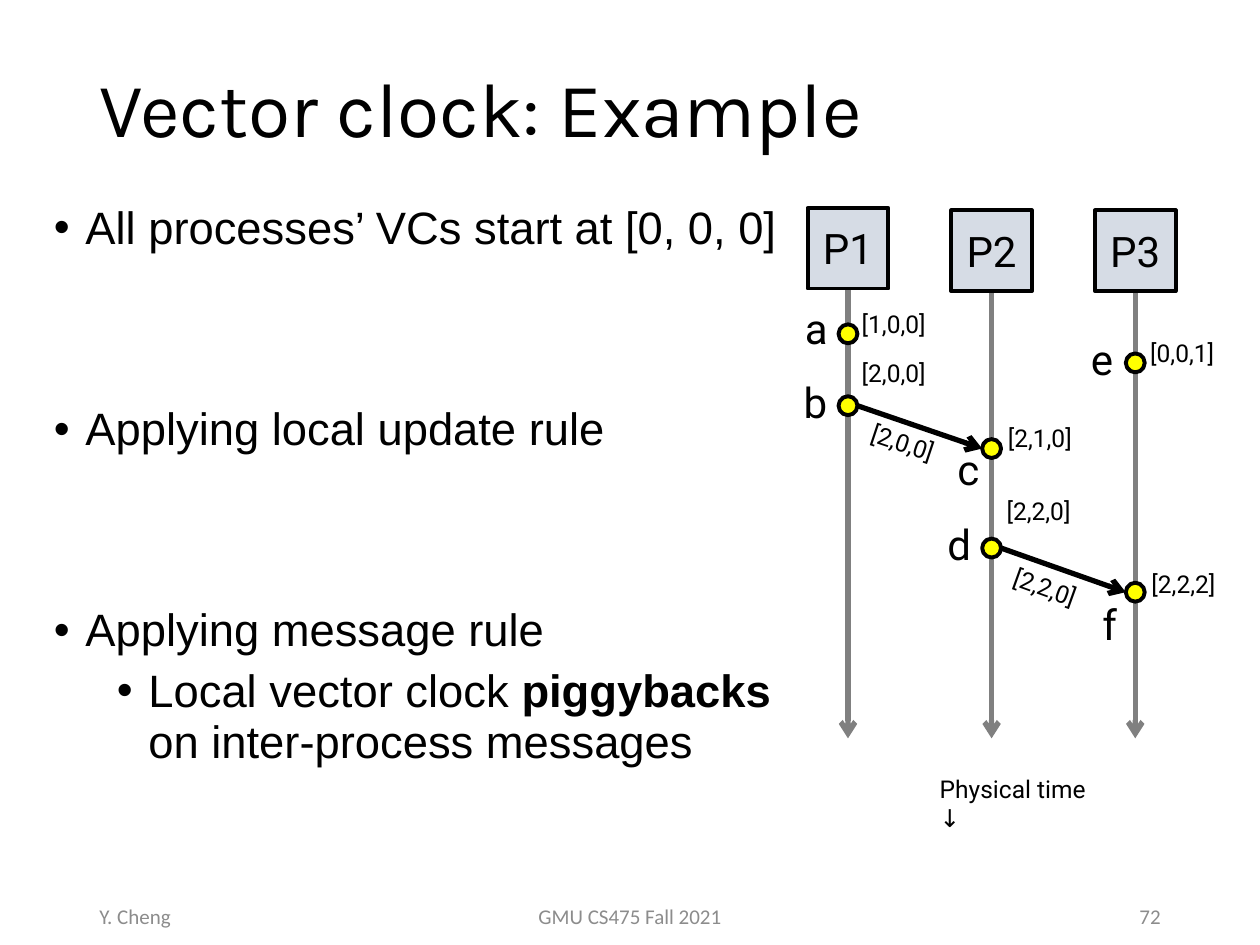
from lxml import etree
from pptx import Presentation
from pptx.dml.color import RGBColor
from pptx.enum.shapes import MSO_CONNECTOR, MSO_SHAPE
from pptx.enum.text import MSO_ANCHOR, PP_ALIGN
from pptx.oxml.ns import qn
from pptx.util import Inches, Pt

LEFT, CENTER, RIGHT = PP_ALIGN.LEFT, PP_ALIGN.CENTER, PP_ALIGN.RIGHT
TOP, MIDDLE = MSO_ANCHOR.TOP, MSO_ANCHOR.MIDDLE
BOX, DOT, STRAIGHT = MSO_SHAPE.FLOWCHART_PROCESS, MSO_SHAPE.OVAL, MSO_CONNECTOR.STRAIGHT

COLORS = {"text": "000000", "footer": "8C8C8C", "lane": "808080",
          "process": "D6DCE5", "event": "FFFF00"}

# Content
TITLE = "Vector clock: Example"
# level, space before (pt), (text, bold) runs
BULLETS = [
    (0, 0, [("All processes’ VCs start at [0, 0, 0]", False)]),
    (0, 85.5, [("Applying local update rule", False)]),
    (0, 85.5, [("Applying message rule", False)]),
    (1, 5, [("Local vector clock ", False), ("piggybacks", True),
            (" on inter-process messages", False)]),
]
FOOTERS = [("Y. Cheng", 0.69, 2.25, LEFT),
           ("GMU CS475 Fall 2021", 3.31, 3.38, CENTER),
           ("72", 7.06, 2.25, RIGHT)]
PROCESSES = [("P1", 1.65), ("P2", 1.67), ("P3", 1.67)]  # name, box top
# event: lane, centre y, name left/top, clock, clock left/top
EVENTS = {
    "a": (0, 2.65, (6.29, 2.35), "[1,0,0]", (6.74, 2.40)),
    "b": (0, 3.22, (6.28, 2.94), "[2,0,0]", (6.74, 2.79)),
    "c": (1, 3.56, (7.50, 3.47), "[2,1,0]", (7.90, 3.31)),
    "d": (1, 4.35, (7.42, 4.07), "[2,2,0]", (7.89, 3.89)),
    "e": (2, 2.88, (8.56, 2.60), "[0,0,1]", (9.03, 2.63)),
    "f": (2, 4.70, (8.65, 4.70), "[2,2,2]", (9.04, 4.47)),
}
# sender, receiver, clock, clock left/top, rotation
MESSAGES = [("b", "c", "[2,0,0]", (6.81, 3.35), 18.5),
            ("d", "f", "[2,2,0]", (7.94, 4.50), 19.8)]

# Geometry
LANE_X = [6.73 + 1.14 * i for i in range(len(PROCESSES))]
LANE_END, BOX_SIZE, DOT_SIZE = 5.86, 0.64, 0.15

prs = Presentation()
prs.slide_width, prs.slide_height = Inches(10), Inches(7.5)
s = prs.slides.add_slide(prs.slide_layouts[6])


def rgb(name):
    return RGBColor.from_string(COLORS[name])


def style(font, name, size, color="text"):
    font.name, font.size = name, Pt(size)
    font.color.rgb = rgb(color)


def add_text(text, left, top, width, height, font, size, color="text",
             align=LEFT, anchor=TOP, wrap=False):
    sp = s.shapes.add_textbox(*map(Inches, (left, top, width, height)))
    tf = sp.text_frame
    tf.word_wrap, tf.vertical_anchor = wrap, anchor
    tf.text = text
    p = tf.paragraphs[0]
    p.alignment = align
    style(p.runs[0].font, font, size, color)
    return sp


def add_clock(text, pos):
    return add_text(text, *pos, 0.75, 0.34, "Roboto", 14)


def add_node(kind, cx, top, size, fill):
    sp = s.shapes.add_shape(kind, Inches(cx - size / 2), Inches(top),
                            Inches(size), Inches(size))
    sp.shadow.inherit = False
    sp.fill.solid()
    sp.fill.fore_color.rgb = rgb(fill)
    sp.line.color.rgb = rgb("text")
    sp.line.width = Pt(2.25)
    return sp


def add_arrow(x1, y1, x2, y2, color):
    c = s.shapes.add_connector(STRAIGHT, *map(Inches, (x1, y1, x2, y2)))
    c.line.color.rgb = rgb(color)
    c.line.width = Pt(3)
    etree.SubElement(c.line._get_or_add_ln(), qn("a:tailEnd"), type="arrow")
    etree.SubElement(c._element.spPr, qn("a:effectLst"))


# Title and footers
title = add_text(TITLE, 0.69, 0.17, 8.62, 1.45, "Karla", 44, anchor=MIDDLE, wrap=True)
title.text_frame.paragraphs[0].line_spacing = 0.9
for text, left, width, align in FOOTERS:
    add_text(text, left, 7.07, width, 0.4, "Calibri", 12, "footer", align, MIDDLE, True)

# Bullet list
tf = s.shapes.add_textbox(*map(Inches, (0.33, 1.56, 5.97, 4.85))).text_frame
tf.word_wrap = True
for i, (level, before, runs) in enumerate(BULLETS):
    p = tf.add_paragraph() if i else tf.paragraphs[0]
    p.level, p.line_spacing, p.space_before = level, 0.95, Pt(before)
    pPr = p._p.get_or_add_pPr()
    pPr.set("marL", str(Inches(0.25 + 0.5 * level)))
    pPr.set("indent", str(Inches(-0.25)))
    etree.SubElement(pPr, qn("a:buFont"), typeface="Arial")
    etree.SubElement(pPr, qn("a:buChar"), char="•")
    for text, bold in runs:
        r = p.add_run()
        r.text = text
        style(r.font, "Arial", 25.9)
        r.font.bold = bold

# Process lanes
for x, (name, top) in zip(LANE_X, PROCESSES):
    add_arrow(x, top + BOX_SIZE, x, LANE_END, "lane")
    sp = add_node(BOX, x, top, BOX_SIZE, "process")
    tf = sp.text_frame
    tf.word_wrap, tf.vertical_anchor = False, MIDDLE
    tf.text = name
    p = tf.paragraphs[0]
    p.alignment = CENTER
    style(p.runs[0].font, "Roboto", 24)

# Events with their clocks
for name, (lane, y, name_pos, clock, clock_pos) in EVENTS.items():
    add_node(DOT, LANE_X[lane], y - DOT_SIZE / 2, DOT_SIZE, "event")
    add_text(name, *name_pos, 0.29 if name == "f" else 0.39, 0.5, "Roboto", 24)
    add_clock(clock, clock_pos)

# Messages between processes
for sender, receiver, clock, pos, angle in MESSAGES:
    (lane1, y1), (lane2, y2) = EVENTS[sender][:2], EVENTS[receiver][:2]
    add_arrow(LANE_X[lane1] + DOT_SIZE / 2, y1, LANE_X[lane2] - DOT_SIZE / 2, y2, "text")
    add_clock(clock, pos).rotation = angle

# Time direction
add_text("Physical time ↓", 7.36, 6.09, 1.41, 0.34, "Roboto", 14, wrap=True)

prs.save("out.pptx")
